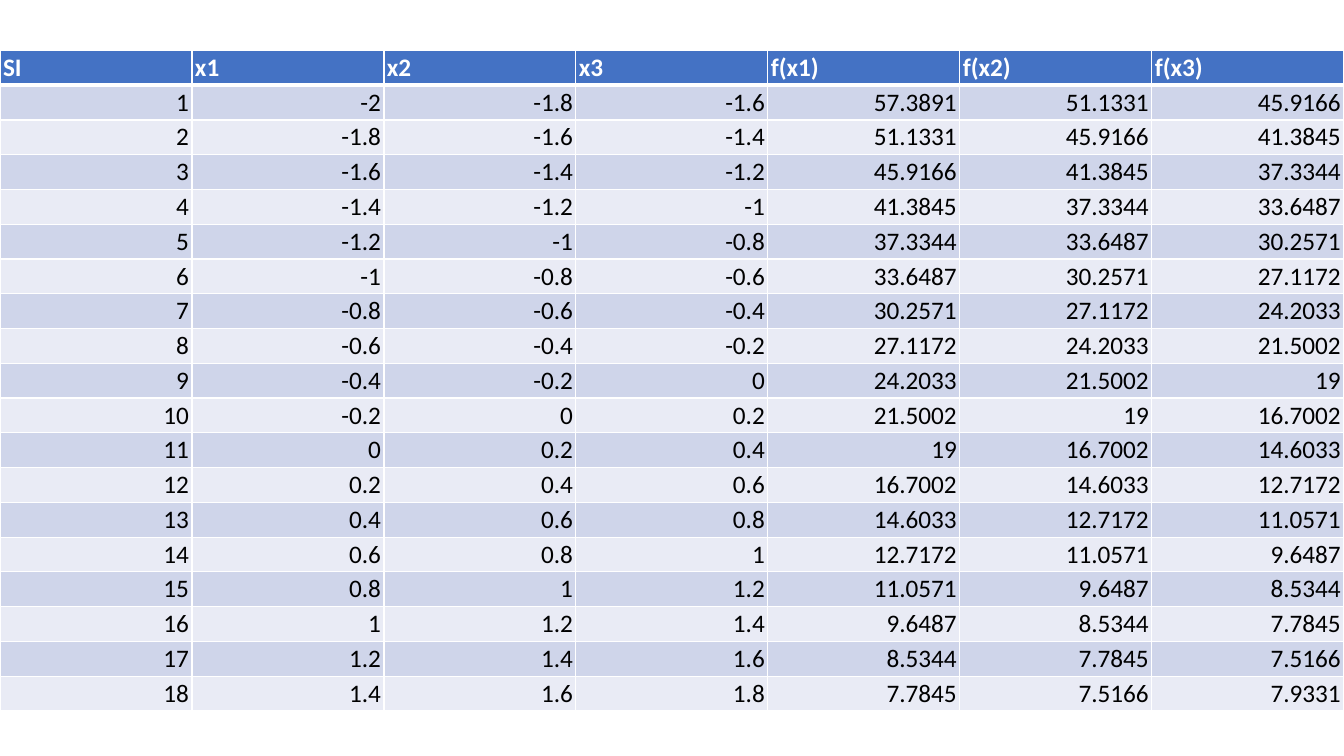
from math import exp

from lxml import etree
from pptx import Presentation
from pptx.dml.color import RGBColor
from pptx.enum.text import MSO_ANCHOR, PP_ALIGN
from pptx.oxml.ns import qn
from pptx.util import Inches, Pt

LEFT, RIGHT = PP_ALIGN.LEFT, PP_ALIGN.RIGHT
BOTTOM = MSO_ANCHOR.BOTTOM
WHITE, BLACK, BLUE = "FFFFFF", "000000", "4472C4"
BANDS = ("CFD5EA", "E9EBF5")


def rgb(value):
    return RGBColor.from_string(value)


def apply(target, **formats):
    for name, value in formats.items():
        setattr(target, name, value)


class Deck:
    font = "Calibri"
    size = Pt(18)
    cell_format = {
        "vertical_anchor": BOTTOM,
        "margin_left": Inches(0.03),
        "margin_right": Inches(0.03),
        "margin_top": Inches(0.02),
        "margin_bottom": Inches(0.02),
    }

    def __init__(self, width, height):
        self.prs = Presentation()
        apply(self.prs, slide_width=Inches(width), slide_height=Inches(height))
        self.s = self.prs.slides.add_slide(self.prs.slide_layouts[6])

    def border(self, cell, side, width):
        tcPr = cell._tc.get_or_add_tcPr()
        ln = etree.SubElement(tcPr, qn(f"a:ln{side}"), w=str(Pt(width)))
        fill = etree.SubElement(ln, qn("a:solidFill"))
        etree.SubElement(fill, qn("a:srgbClr"), val=WHITE)

    def cell(self, cell, text, fill, color, bold, align, top, bottom):
        apply(cell, **self.cell_format)
        for side, width in {"L": 1, "R": 1, "T": top, "B": bottom}.items():
            self.border(cell, side, width)
        cell.fill.solid()
        cell.fill.fore_color.rgb = rgb(fill)
        p = cell.text_frame.paragraphs[0]
        p.alignment = align
        r = p.add_run()
        r.text = text
        apply(r.font, name=self.font, size=self.size, bold=bold)
        r.font.color.rgb = rgb(color)

    def table(self, rows, left, top, width, height):
        frame = self.s.shapes.add_table(
            len(rows), len(rows[0]),
            Inches(left), Inches(top), Inches(width), Inches(height))
        for i, row in enumerate(rows):
            if i == 0:
                style = {"fill": BLUE, "color": WHITE, "bold": True, "align": LEFT}
            else:
                style = {"fill": BANDS[(i - 1) % 2], "color": BLACK,
                         "bold": False, "align": RIGHT}
            style.update(top=3 if i == 1 else 1, bottom=3 if i == 0 else 1)
            for j, text in enumerate(row):
                self.cell(frame.table.cell(i, j), text, **style)


def f(x):
    return 2 * (x - 3) ** 2 + exp(x ** 2 / 2)


def number(value):
    return f"{round(value, 4):g}"


header = ["SI", "x1", "x2", "x3", "f(x1)", "f(x2)", "f(x3)"]
rows = [header]
for step in range(1, 19):
    points = [(step + k - 11) / 5 for k in range(3)]
    values = [f(x) for x in points]
    rows.append([number(v) for v in [step, *points, *values]])

deck = Deck(13.33, 7.5)
deck.table(rows, 0, 0.5, 13.33, 6.49)
deck.prs.save("out.pptx")
